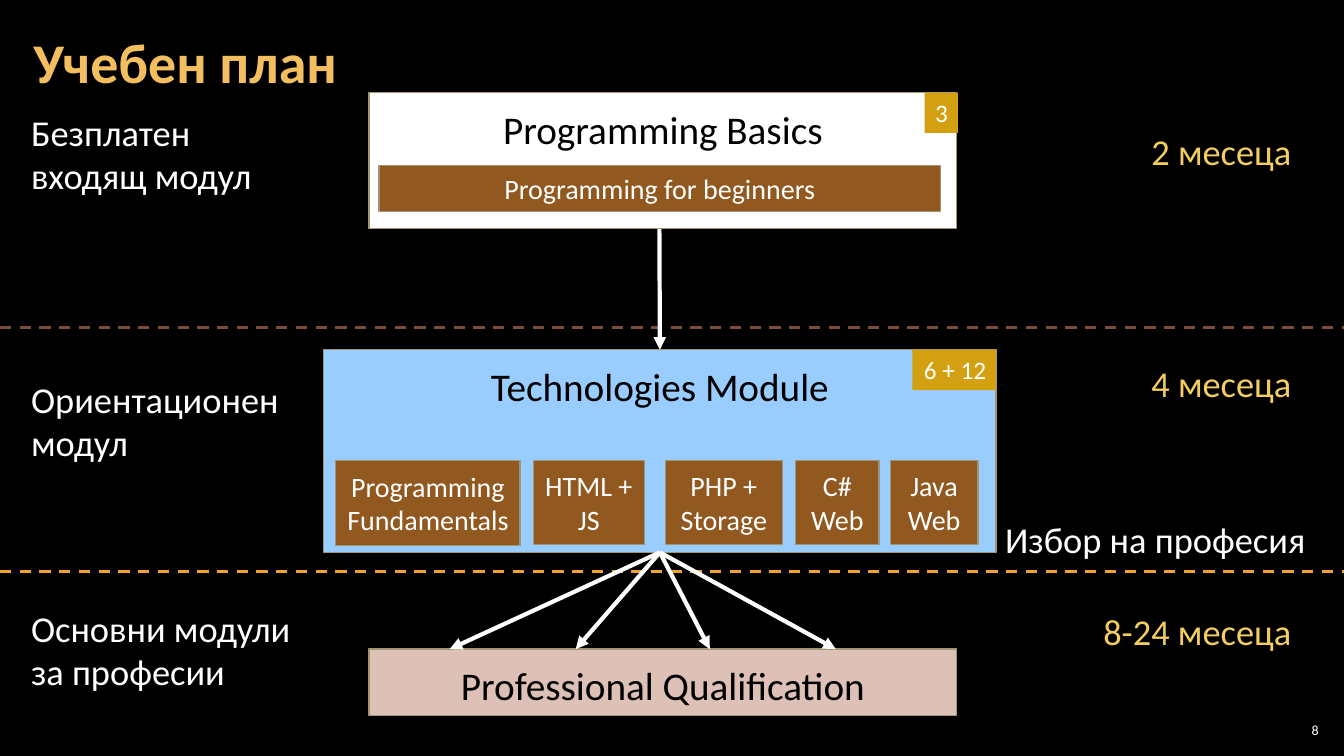
import pptx
import pptx.util
import pptx.dml.color
import pptx.enum.dml
import pptx.enum.shapes
import pptx.enum.text
import pptx.oxml

Inches = pptx.util.Inches
Pt = pptx.util.Pt
ALIGN = pptx.enum.text.PP_ALIGN
ANCHOR = pptx.enum.text.MSO_ANCHOR
STRAIGHT = pptx.enum.shapes.MSO_CONNECTOR.STRAIGHT


def paint(color_format, color):
    color_format.rgb = pptx.dml.color.RGBColor.from_string(color)


def write(box, text, size, color, align, anchor=ANCHOR.TOP, wrap=False, space=0):
    frame = box.text_frame
    frame.text = text
    frame.word_wrap = wrap
    frame.vertical_anchor = anchor
    for para in frame.paragraphs:
        para.alignment = align
        para.space_before = para.space_after = Pt(space)
        para.font.name = "Calibri"
        para.font.size = Pt(size)
        paint(para.font.color, color)
    return frame


deck = pptx.Presentation()
deck.slide_width = Inches(13.33)
deck.slide_height = Inches(7.5)
page = deck.slides.add_slide(deck.slide_layouts[5])
page.background.fill.solid()
paint(page.background.fill.fore_color, "000000")

title = page.shapes.title
title.left, title.top = Inches(0.21), Inches(0.04)
title.width, title.height = Inches(10.47), Inches(1.21)
frame = write(title, "Учебен план", 40, "F3BE60", ALIGN.LEFT, ANCHOR.MIDDLE, True)
frame.auto_size = pptx.enum.text.MSO_AUTO_SIZE.NONE
frame.margin_left = frame.margin_right = Inches(0.12)
frame.margin_top = frame.margin_bottom = Inches(0.04)
frame.paragraphs[0].line_spacing = 0.9
frame.paragraphs[0].font.bold = True

modules = [
    ("Programming Basics", 3.66, 0.92, 5.83, 1.35, "FFFFFF"),
    ("Technologies Module", 3.21, 3.47, 6.67, 2.01, "99CCFF"),
    ("Professional Qualification", 3.66, 6.44, 5.83, 0.66, "DDC0B6"),
]
courses = [
    ("Programming for beginners", 3.76, 1.64, 5.57, 0.46, "91581F"),
    ("Programming Fundamentals", 3.33, 4.57, 1.83, 0.84, "91581F"),
    ("HTML + JS", 5.29, 4.57, 1.1, 0.83, "91581F"),
    ("PHP + Storage", 6.6, 4.57, 1.16, 0.83, "91581F"),
    ("C# Web", 7.89, 4.57, 0.83, 0.83, "91581F"),
    ("Java Web", 8.83, 4.57, 0.87, 0.83, "91581F"),
]
badges = [
    ("3", 9.17, 0.92, 0.33, 0.4, "D2A010"),
    ("6 + 12", 9.05, 3.47, 0.83, 0.4, "D2A010"),
]
boxes = {}
for text, left, top, width, height, fill in modules + courses + badges:
    box = page.shapes.add_shape(
        pptx.enum.shapes.MSO_SHAPE.RECTANGLE,
        Inches(left), Inches(top), Inches(width), Inches(height))
    box.shadow.inherit = False
    box.fill.solid()
    paint(box.fill.fore_color, fill)
    paint(box.line.color, "A19574")
    box.line.width = Pt(1)
    boxes[text] = box

for text, *_ in modules:
    frame = write(boxes[text], text, 28, "000000", ALIGN.CENTER, wrap=True, space=3)
    frame.margin_top = Inches(0.12)
for text, *_ in courses:
    write(boxes[text], text, 20, "FFFFFF", ALIGN.CENTER, ANCHOR.MIDDLE, True, 3)
for text, *_ in badges:
    boxes[text].line.fill.background()
    write(boxes[text], text, 18, "FFFFFF", ALIGN.RIGHT)

labels = [
    ("Безплатен\nвходящ модул", 0.21, 1.04, 2.44, 0.98, "FFFFFF", ALIGN.LEFT),
    ("Ориентационен\nмодул", 0.21, 3.69, 2.68, 0.98, "FFFFFF", ALIGN.LEFT),
    ("Основни модули\nза професии", 0.21, 5.96, 2.84, 0.98, "FFFFFF", ALIGN.LEFT),
    ("Избор на професия", 9.87, 5.08, 3.21, 0.54, "FFFFFF", ALIGN.LEFT),
    ("2 месецa", 11.31, 1.23, 1.6, 0.54, "F3CD60", ALIGN.RIGHT),
    ("4 месеца", 11.31, 3.53, 1.6, 0.54, "F3CD60", ALIGN.RIGHT),
    ("8-24 месеца", 10.83, 5.99, 2.08, 0.54, "F3CD60", ALIGN.RIGHT),
]
for text, left, top, width, height, color, align in labels:
    label = page.shapes.add_textbox(Inches(left), Inches(top), Inches(width), Inches(height))
    write(label, text, 26, color, align)

number = page.shapes.add_textbox(Inches(12.65), Inches(7.14), Inches(0.47), Inches(0.21))
frame = write(number, "8", 10, "FFFFFF", ALIGN.RIGHT, ANCHOR.MIDDLE, True)
frame.margin_left = frame.margin_right = Inches(0.04)
frame.margin_top = frame.margin_bottom = Inches(0.04)

dividers = [(0, y, 13.33, y, color, 2) for y, color in [(3.25, "7C4B3B"), (5.67, "F0A22E")]]
branches = [(6.54, 5.48, x, 6.44, "FFFFFF", 3) for x in (4.46, 5.71, 7.04, 8.29)]
descent = (6.54, 2.27, 6.54, 3.47, "FFFFFF", 3)
for route in dividers + [descent] + branches:
    x1, y1, x2, y2, color, weight = route
    line = page.shapes.add_connector(STRAIGHT, Inches(x1), Inches(y1), Inches(x2), Inches(y2))
    paint(line.line.color, color)
    line.line.width = Pt(weight)
    properties = line._element.spPr
    properties.append(pptx.oxml.parse_xml(
        '<a:effectLst xmlns:a="http://schemas.openxmlformats.org/drawingml/2006/main"/>'))
    if route in dividers:
        line.line.dash_style = pptx.enum.dml.MSO_LINE.DASH
        continue
    line.line._get_or_add_ln().append(pptx.oxml.parse_xml(
        '<a:tailEnd xmlns:a="http://schemas.openxmlformats.org/drawingml/2006/main" type="triangle"/>'))
    if route == descent:
        line.end_connect(boxes["Technologies Module"], 0)
    else:
        line.begin_connect(boxes["Technologies Module"], 2)

deck.save("out.pptx")
